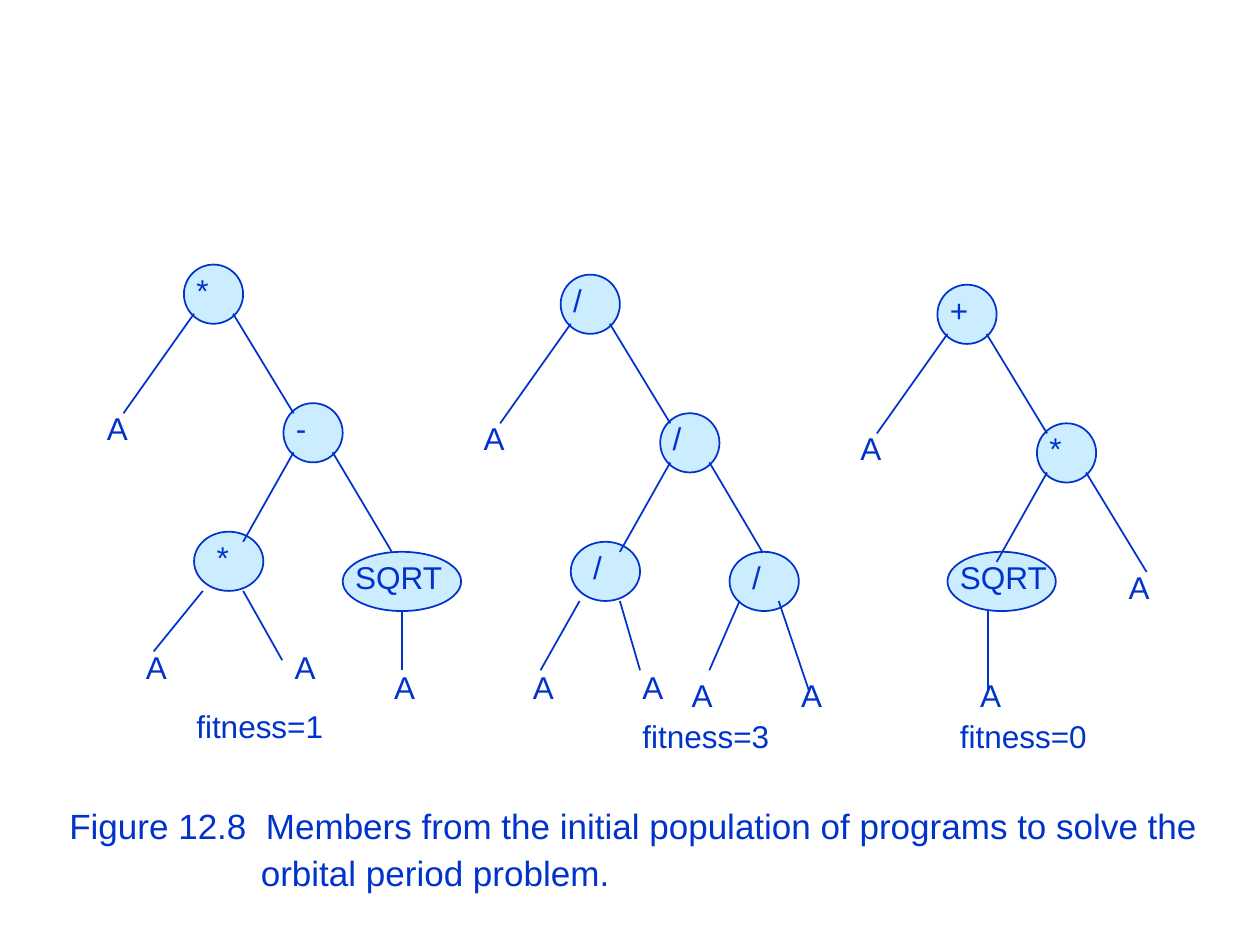
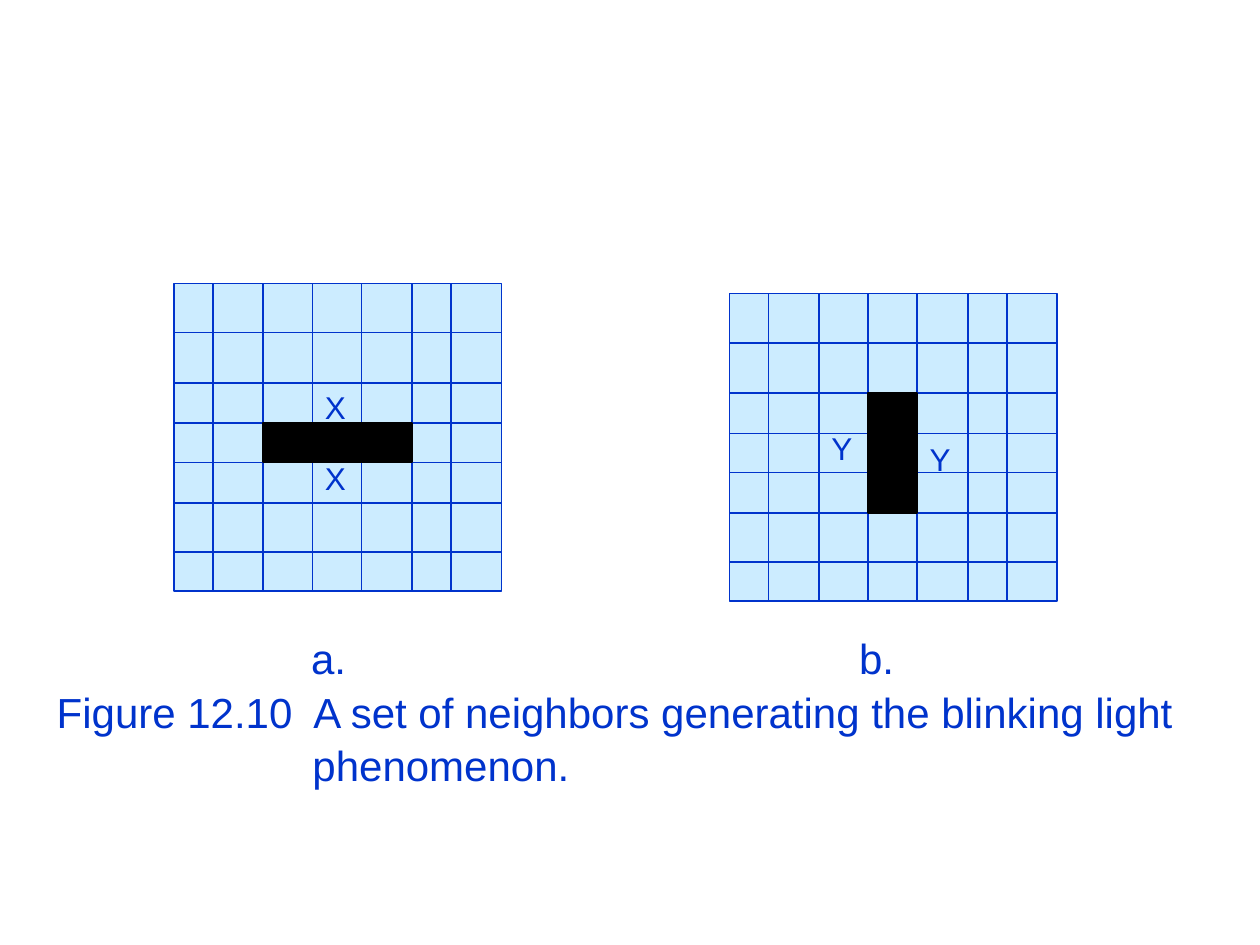
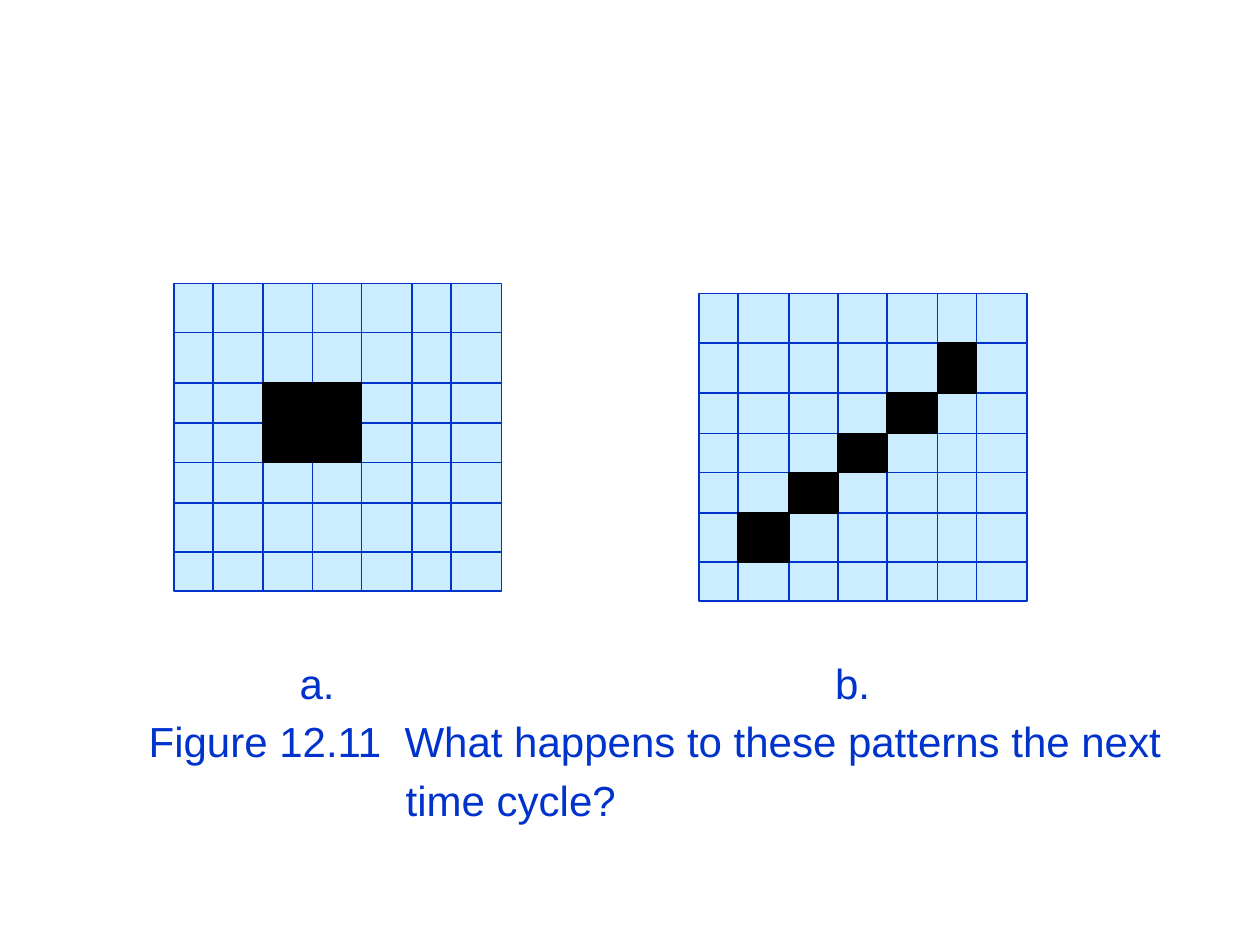
from lxml import etree
from pptx import Presentation
from pptx.dml.color import RGBColor
from pptx.enum.shapes import MSO_CONNECTOR, MSO_SHAPE
from pptx.enum.text import MSO_AUTO_SIZE
from pptx.oxml.ns import qn
from pptx.util import Inches, Pt

OVAL, RECT = MSO_SHAPE.OVAL, MSO_SHAPE.RECTANGLE
STRAIGHT = MSO_CONNECTOR.STRAIGHT
FIT, FIXED = MSO_AUTO_SIZE.SHAPE_TO_FIT_TEXT, MSO_AUTO_SIZE.NONE

THEME = {
    "ink": RGBColor(0x00, 0x33, 0xCC),
    "pale": RGBColor(0xCC, 0xEC, 0xFF),
    "black": RGBColor(0, 0, 0),
    "font": "Arial",
    "label": Pt(18),
    "small": Pt(20),
    "large": Pt(24),
    "edge": Pt(1),
}

# Trees: places are relative to the root node
ROOT, STEP = (1.46, 2.10), (2.99, 0.08)
NODE = 0.47
BRANCHES = [
    (0.08, 0.39, -0.48, 1.18), (0.39, 0.39, 0.87, 1.18),
    (0.87, 1.49, 0.47, 2.20),
]
TREES = [
    {
        "top": "*", "next": "-",
        "nodes": [("*", 0.08, 2.12, 0.55), ("SQRT", 1.26, 2.28, 0.94)],
        "twigs": [(1.18, 1.49, 1.65, 2.28), (0.15, 2.59, -0.24, 3.07),
                  (0.47, 2.59, 0.78, 3.14), (1.73, 2.75, 1.73, 3.22)],
        "leaves": [(-0.40, 2.99), (0.78, 2.99), (1.57, 3.15)],
        "score": ("fitness=1", 0, 3.46),
    },
    {
        "top": "/", "next": "/",
        "nodes": [("/", 0.08, 2.12, 0.55), ("/", 1.34, 2.20, 0.55)],
        "twigs": [(1.18, 1.49, 1.60, 2.20), (0.15, 2.59, -0.16, 3.14),
                  (0.47, 2.59, 0.63, 3.14), (1.42, 2.59, 1.18, 3.14),
                  (1.73, 2.59, 1.97, 3.30)],
        "leaves": [(-0.32, 3.07), (0.55, 3.07), (0.94, 3.14), (1.81, 3.14)],
        "score": ("fitness=3", 0.55, 3.46),
    },
    {
        "top": "+", "next": "*",
        "nodes": [("SQRT", 0.08, 2.12, 0.86)],
        "twigs": [(1.18, 1.49, 1.66, 2.28), (0.40, 2.59, 0.40, 3.22)],
        "leaves": [(1.42, 2.20), (0.24, 3.06)],
        "score": ("fitness=0", 0.08, 3.38),
    },
]

# Grids: edges of the columns and rows; blocks are column, row, columns, rows
COLS = [0, 0.31, 0.71, 1.10, 1.49, 1.89, 2.20, 2.60]
ROWS = [0, 0.39, 0.79, 1.11, 1.42, 1.74, 2.13, 2.44]

# Caption lines: indent from the left and text
PAGES = [
    {
        "trees": TREES,
        "box": (0.35, 6.27, 9.34, 0.91), "size": "small", "pitch": 0.9,
        "inset": 0.15, "gap": 5.6,
        "lines": [
            (0.10, "Figure 12.8  Members from the initial population of programs "
                   "to solve the"),
            (1.62, "orbital period problem."),
        ],
    },
    {
        "grids": [(1.38, 2.25, [(2, 3, 3, 1)]), (5.79, 2.33, [(3, 2, 1, 3)])],
        "marks": [("X", 2.48, 3.03), ("X", 2.48, 3.59),
                  ("Y", 6.50, 3.36), ("Y", 7.28, 3.44)],
        "heads": [("a.", 2.37, 4.97), ("b.", 6.72, 4.97)],
        "box": (0.35, 5.44, 9.34, 0.91), "size": "large", "pitch": 0.9,
        "inset": 0.05, "gap": 4.8,
        "lines": [
            (0, "Figure 12.10  A set of neighbors generating the blinking light"),
            (2.03, "phenomenon."),
        ],
    },
    {
        "grids": [(1.38, 2.25, [(2, 2, 2, 2)]),
                  (5.55, 2.33, [(col, 6 - col, 1, 1) for col in range(1, 6)])],
        "heads": [("a.", 2.28, 5.17), ("b.", 6.53, 5.17)],
        "box": (0.35, 5.63, 9.34, 1.12), "size": "large", "pitch": 1.0,
        "inset": 0.05, "gap": 4.8,
        "lines": [
            (0.73, "Figure 12.11  What happens to these patterns the next"),
            (2.77, "time cycle?"),
        ],
    },
]


def draw(slide, kind, box, fill, edge):
    shape = slide.shapes.add_shape(kind, *map(Inches, box))
    shape.shadow.inherit = False
    shape.fill.solid()
    shape.fill.fore_color.rgb = fill
    shape.line.color.rgb = edge
    shape.line.width = THEME["edge"]


def write(para, text, size):
    """Add a run in the shared font and colour."""
    run = para.add_run()
    run.text = text
    for key, value in {"name": THEME["font"], "size": THEME[size]}.items():
        setattr(run.font, key, value)
    run.font.color.rgb = THEME["ink"]


deck = Presentation()
deck.slide_width, deck.slide_height = Inches(10), Inches(7.5)

for page in PAGES:
    slide = deck.slides.add_slide(deck.slide_layouts[1])
    title = slide.shapes.title.element
    title.getparent().remove(title)
    links, blocks = [], []
    labels = [(*mark, 0.55, "label") for mark in page.get("marks", [])]
    labels += [(*head, 0.55, "large") for head in page.get("heads", [])]

    # Caption
    body = slide.placeholders[1]
    body.left, body.top, body.width, body.height = map(Inches, page["box"])
    frame = body.text_frame
    for key, value in {"auto_size": FIXED, "word_wrap": True,
                       "margin_top": Inches(page["inset"])}.items():
        setattr(frame, key, value)
    for index, (indent, text) in enumerate(page["lines"]):
        para = frame.add_paragraph() if index else frame.paragraphs[0]
        para.line_spacing = page["pitch"]
        para.space_before = Pt(page["gap"] if index else 0)
        props = para._p.get_or_add_pPr()
        props.set("marL", str(Inches(indent)))
        props.set("indent", "0")
        etree.SubElement(props, qn("a:buNone"))
        write(para, text, page["size"])

    # Trees
    for index, tree in enumerate(page.get("trees", [])):
        left, top = (start + index * step for start, step in zip(ROOT, STEP))
        nodes = [(tree["top"], 0, 0, NODE), (tree["next"], 0.79, 1.10, NODE)]
        for text, x, y, width in nodes + tree["nodes"]:
            box = (left + x, top + y, width, NODE)
            draw(slide, OVAL, box, THEME["pale"], THEME["ink"])
            shift = 0.08 if width == 0.55 else 0
            labels.append((text, left + x + shift, top + y, 1.02, "label"))
        for x1, y1, x2, y2 in BRANCHES + tree["twigs"]:
            links.append((left + x1, top + y1, left + x2, top + y2))
        for x, y in [(-0.71, 1.10)] + tree["leaves"]:
            labels.append(("A", left + x, top + y, 0.55, "label"))
        text, x, y = tree["score"]
        labels.append((text, left + x, top + y, 1.57, "label"))

    # Grids
    for left, top, cells in page.get("grids", []):
        wide, high = COLS[-1], ROWS[-1]
        draw(slide, RECT, (left, top, wide, high), THEME["pale"], THEME["ink"])
        links += [(left + x, top, left + x, top + high) for x in COLS[1:-1]]
        links += [(left, top + y, left + wide, top + y) for y in ROWS[1:-1]]
        for col, row, across, down in cells:
            x, y = COLS[col], ROWS[row]
            blocks.append((left + x, top + y,
                           COLS[col + across] - x, ROWS[row + down] - y))

    for ends in links:
        link = slide.shapes.add_connector(STRAIGHT, *map(Inches, ends))
        link.line.color.rgb = THEME["ink"]
        link.line.width = THEME["edge"]
        etree.SubElement(link._element.spPr, qn("a:effectLst"))
    for block in blocks:
        draw(slide, RECT, block, THEME["black"], THEME["black"])
    for text, x, y, width, size in labels:
        frame = slide.shapes.add_textbox(*map(Inches, (x, y, width, 0.4))).text_frame
        for key, value in {"word_wrap": True, "auto_size": FIT}.items():
            setattr(frame, key, value)
        write(frame.paragraphs[0], text, size)

deck.save("out.pptx")
